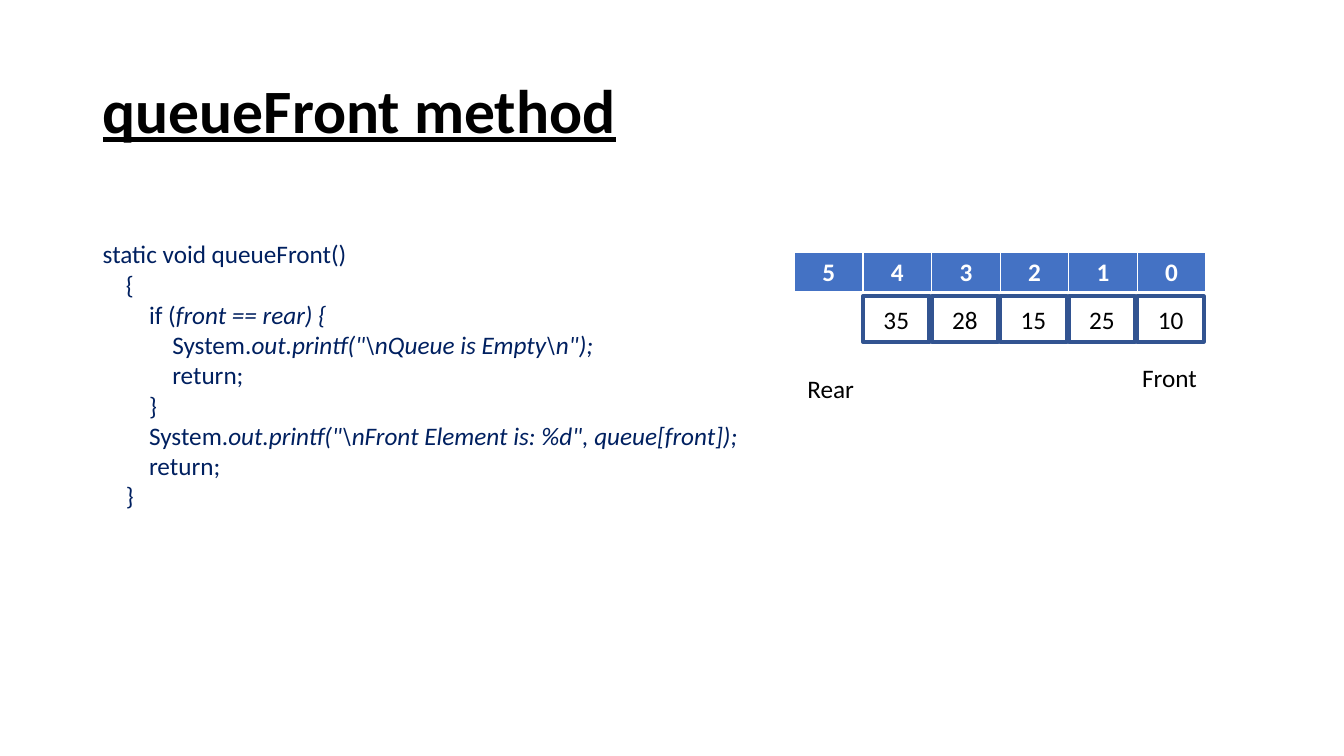
from lxml import etree
from pptx import Presentation
from pptx.dml.color import RGBColor
from pptx.enum import shapes, text
from pptx.oxml.ns import qn
from pptx.util import Inches, Pt

BLACK = RGBColor(0x00, 0x00, 0x00)
WHITE = RGBColor(0xFF, 0xFF, 0xFF)
NAVY = RGBColor(0x00, 0x20, 0x60)
BLUE = RGBColor(0x44, 0x72, 0xC4)
EDGE = RGBColor(0x32, 0x54, 0x91)
FONT = "Calibri"
STEP = 0.68
INDENT = 0.23

# Each line: indent level, upright part, italic part
CODE = [
    (0, "static void queueFront()", ""),
    (1, "{", ""),
    (2, "if (", "front == rear) {"),
    (3, "System.", r'out.printf("\nQueue is Empty\n");'),
    (3, "return;", ""),
    (2, "}", ""),
    (2, "System.", r'out.printf("\nFront Element is: %d", queue[front]);'),
    (2, "return;", ""),
    (1, "}", ""),
]
INDEXES = ["5", "4", "3", "2", "1", "0"]
VALUES = ["35", "28", "15", "25", "10"]


def add_run(para, words, color=BLACK, size=18, bold=False, italic=False):
    run = para.add_run()
    run.text = words
    font = run.font
    font.name, font.size = FONT, Pt(size)
    font.bold, font.italic = bold, italic
    font.color.rgb = color
    return run


def add_title(slide, words):
    title = slide.shapes.title
    title.left, title.top = Inches(0.92), Inches(0.4)
    title.width, title.height = Inches(11.5), Inches(1.45)
    frame = title.text_frame
    frame.vertical_anchor = text.MSO_ANCHOR.MIDDLE
    para = frame.paragraphs[0]
    para.alignment = text.PP_ALIGN.LEFT
    para.line_spacing = 0.9
    add_run(para, words, size=44, bold=True).font.underline = True


def add_box(slide, left, top, width, height):
    box = slide.shapes.add_textbox(
        Inches(left), Inches(top), Inches(width), Inches(height))
    box.text_frame.word_wrap = True
    return box.text_frame


def add_label(slide, words, left, top, width):
    frame = add_box(slide, left, top, width, 0.4)
    add_run(frame.paragraphs[0], words)


def add_code(slide):
    frame = add_box(slide, 0.92, 2.32, 6.92, 2.83)
    for row, (level, plain, slanted) in enumerate(CODE):
        para = frame.add_paragraph() if row else frame.paragraphs[0]
        props = para._p.get_or_add_pPr()
        props.set("marL", str(Inches(INDENT * level)))
        props.set("indent", "0")
        add_run(para, plain, NAVY)
        if slanted:
            add_run(para, slanted, NAVY, italic=True)


def add_value(slide, words, left):
    box = slide.shapes.add_shape(
        shapes.MSO_SHAPE.RECTANGLE,
        Inches(left), Inches(2.94), Inches(0.66), Inches(0.45))
    box.shadow.inherit = False
    box.fill.background()
    box.line.color.rgb = EDGE
    box.line.width = Pt(3)
    frame = box.text_frame
    frame.vertical_anchor = text.MSO_ANCHOR.MIDDLE
    para = frame.paragraphs[0]
    para.alignment = text.PP_ALIGN.CENTER
    add_run(para, words)


def set_borders(cell):
    """Give the cell white borders, with a thick one below."""
    props = cell._tc.get_or_add_tcPr()
    for place, (side, width) in enumerate(
            [("lnL", 1), ("lnR", 1), ("lnT", 1), ("lnB", 3)]):
        line = etree.Element(qn("a:" + side), w=str(Pt(width)))
        fill = etree.SubElement(line, qn("a:solidFill"))
        etree.SubElement(fill, qn("a:srgbClr"), val=str(WHITE))
        props.insert(place, line)


def add_indexes(slide):
    count = len(INDEXES)
    table = slide.shapes.add_table(
        1, count, Inches(7.88), Inches(2.5),
        Inches(STEP * count), Inches(0.4)).table
    for col, words in enumerate(INDEXES):
        cell = table.cell(0, col)
        cell.fill.solid()
        cell.fill.fore_color.rgb = BLUE
        set_borders(cell)
        para = cell.text_frame.paragraphs[0]
        para.alignment = text.PP_ALIGN.CENTER
        add_run(para, words, WHITE, bold=True)


def main():
    deck = Presentation()
    deck.slide_width, deck.slide_height = Inches(13.33), Inches(7.5)
    slide = deck.slides.add_slide(deck.slide_layouts[5])
    add_title(slide, "queueFront method")
    add_code(slide)
    for place, words in enumerate(VALUES):
        add_value(slide, words, 8.56 + STEP * place)
    add_label(slide, "Front", 11.23, 3.55, 0.75)
    add_label(slide, "Rear", 7.91, 3.65, 0.88)
    add_indexes(slide)
    deck.save("out.pptx")


if __name__ == "__main__":
    main()
